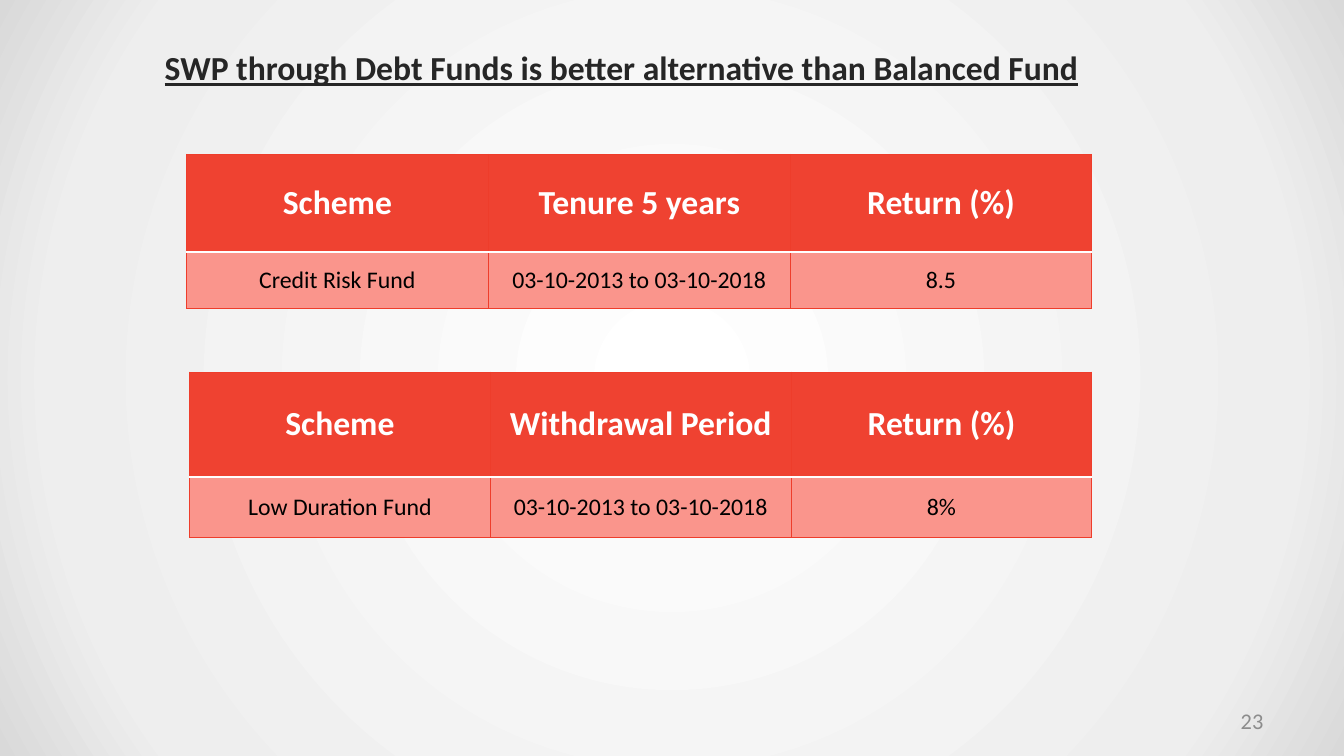
"""Build a slide comparing debt fund returns in two tables."""
import pptx
import pptx.util
import pptx.dml.color
import pptx.enum.text
import pptx.oxml
import pptx.oxml.ns
from dataclasses import dataclass

TITLE = "SWP through Debt Funds is better alternative than Balanced Fund"
PAGE = "23"
SIZE = (13.33, 7.5)
TITLE_BOX = (1.48, 0.42, 9.37, 0.5)
PAGE_BOX = (9.55, 6.95, 3.11, 0.4)
RIGHT = 10.83
TABLES = [
    {"left": 1.85, "top": 1.53, "rows": (0.97, 0.56), "cells": [
        ("Scheme", "Tenure 5 years", "Return (%)"),
        ("Credit Risk Fund", "03-10-2013 to 03-10-2018", "8.5")]},
    {"left": 1.88, "top": 3.69, "rows": (1.04, 0.6), "cells": [
        ("Scheme", "Withdrawal Period", "Return (%)"),
        ("Low Duration Fund", "03-10-2013 to 03-10-2018", "8%")]},
]


@dataclass(frozen=True)
class Theme:
    font: str = "Calibri"
    ink: str = "262626"
    gray: str = "8C8C8C"
    white: str = "FFFFFF"
    black: str = "000000"
    head: str = "EF4231"
    body: str = "FA958C"
    edge: str = "EE3D2B"
    glow: tuple = ((0, "FFFFFF"), (81, "EEEEEE"), (100, "D9D9D9"))
    big: int = 24
    mid: int = 17
    small: int = 16
    thin: float = 0.75
    thick: float = 2


LOOK = Theme()
NS = pptx.oxml.ns.nsdecls("a")
ALIGN = pptx.enum.text.PP_ALIGN
MIDDLE = pptx.enum.text.MSO_ANCHOR.MIDDLE
inch = pptx.util.Inches
rgb = pptx.dml.color.RGBColor.from_string


def write(frame, text, size, color, align=ALIGN.CENTER, bold=False, line=False):
    para = frame.paragraphs[0]
    para.alignment = align
    run = para.add_run()
    run.text = text
    font = run.font
    font.name, font.size = LOOK.font, pptx.util.Pt(size)
    font.bold, font.underline = bold, line
    font.color.rgb = rgb(color)


def paint(slide):
    fill = slide.background.fill
    fill.gradient()
    stops = "".join(
        f'<a:gs pos="{pos * 1000}"><a:srgbClr val="{color}"/></a:gs>'
        for pos, color in LOOK.glow)
    grad = pptx.oxml.parse_xml(
        f'<a:gradFill {NS} rotWithShape="1"><a:gsLst>{stops}</a:gsLst>'
        '<a:path path="circle"><a:fillToRect l="50000" t="50000" '
        'r="50000" b="50000"/></a:path></a:gradFill>')
    old = next(slide.background._cSld.iter(pptx.oxml.ns.qn("a:gradFill")))
    old.getparent().replace(old, grad)


def border(cell, sides):
    props = cell._tc.get_or_add_tcPr()
    for spot, (side, (color, width)) in enumerate(sides.items()):
        props.insert(spot, pptx.oxml.parse_xml(
            f'<a:ln{side} {NS} w="{int(width * 12700)}"><a:solidFill>'
            f'<a:srgbClr val="{color}"/></a:solidFill></a:ln{side}>'))


def add_grid(slide, left, top, rows, cells):
    count = len(cells[0])
    wide = RIGHT - left
    grid = slide.shapes.add_table(
        len(rows), count, inch(left), inch(top),
        inch(wide), inch(sum(rows))).table
    grid.first_row = True
    grid.horz_banding = False
    for col in grid.columns:
        col.width = inch(wide / count)
    edge, rule = (LOOK.edge, LOOK.thin), (LOOK.white, LOOK.thick)
    for r, texts in enumerate(cells):
        grid.rows[r].height = inch(rows[r])
        head = r == 0
        for c, text in enumerate(texts):
            cell = grid.cell(r, c)
            cell.vertical_anchor = MIDDLE
            cell.fill.solid()
            cell.fill.fore_color.rgb = rgb(LOOK.head if head else LOOK.body)
            border(cell, {"L": edge, "R": edge,
                          "T": edge if head else rule,
                          "B": rule if head else edge})
            write(cell.text_frame, text, LOOK.big if head else LOOK.mid,
                  LOOK.white if head else LOOK.black, bold=head)


def main():
    deck = pptx.Presentation()
    deck.slide_width, deck.slide_height = map(inch, SIZE)
    slide = deck.slides.add_slide(deck.slide_layouts[5])
    paint(slide)

    title = slide.shapes.title
    title.left, title.top, title.width, title.height = map(inch, TITLE_BOX)
    frame = title.text_frame
    frame.word_wrap = False
    frame.auto_size = pptx.enum.text.MSO_AUTO_SIZE.SHAPE_TO_FIT_TEXT
    frame.vertical_anchor = pptx.enum.text.MSO_ANCHOR.TOP
    write(frame, TITLE, LOOK.big, LOOK.ink, bold=True, line=True)

    for table in TABLES:
        add_grid(slide, **table)

    frame = slide.shapes.add_textbox(*map(inch, PAGE_BOX)).text_frame
    frame.word_wrap = True
    frame.vertical_anchor = MIDDLE
    frame.margin_left = frame.margin_right = inch(0.13)
    frame.margin_top = frame.margin_bottom = inch(0.07)
    write(frame, PAGE, LOOK.small, LOOK.gray, ALIGN.RIGHT)
    deck.save("out.pptx")


if __name__ == "__main__":
    main()
